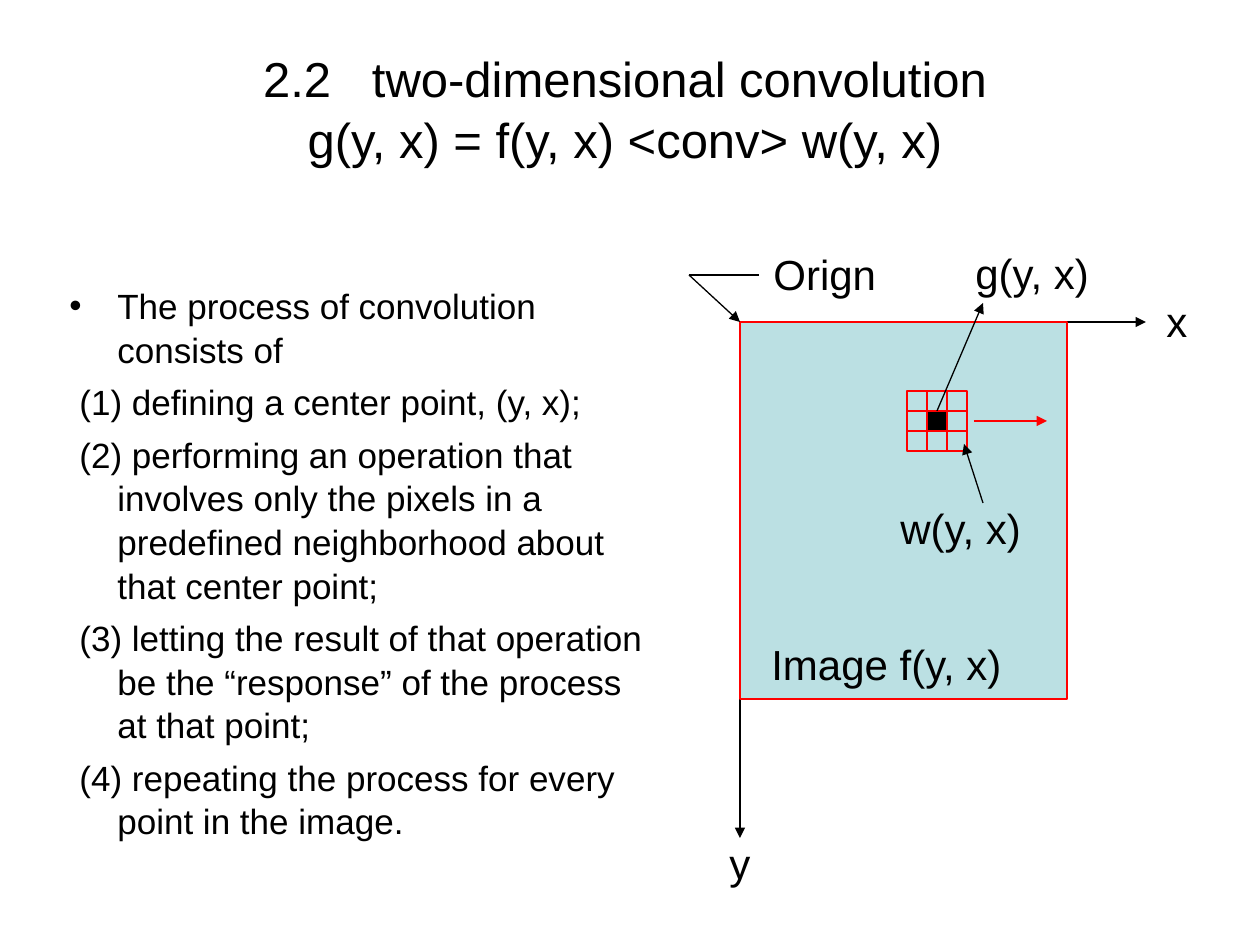
from lxml import etree
from pptx import Presentation
from pptx.dml.color import RGBColor
from pptx.enum.shapes import MSO_CONNECTOR, MSO_SHAPE
from pptx.enum.text import MSO_ANCHOR, PP_ALIGN
from pptx.oxml.ns import qn
from pptx.util import Emu, Pt

STRAIGHT = MSO_CONNECTOR.STRAIGHT
RECT = MSO_SHAPE.RECTANGLE
LEFT, CENTER = PP_ALIGN.LEFT, PP_ALIGN.CENTER
TOP, MIDDLE = MSO_ANCHOR.TOP, MSO_ANCHOR.MIDDLE
SCALE = 914400 / 126
COLORS = {"ink": "000000", "edge": "FF0000", "image": "BBE0E3"}


def emu(px):
    return Emu(round(px * SCALE))


def color(name):
    return RGBColor.from_string(COLORS[name])


class Board:
    font = "Arial"
    leading = 1.04

    def __init__(self, slide):
        self.slide = slide

    def text(self, box, lines, size, align=LEFT, anchor=TOP):
        shape = self.slide.shapes.add_textbox(*map(emu, box))
        frame = shape.text_frame
        frame.word_wrap = True
        frame.vertical_anchor = anchor
        frame.text = "\n".join(lines)
        for para in frame.paragraphs:
            para.alignment = align
            para.line_spacing = self.leading
            for run in para.runs:
                run.font.name = self.font
                run.font.size = Pt(size)
                run.font.color.rgb = color("ink")
        return frame

    def steps(self, box, lines, size):
        """A bulleted lead line followed by steps with a hanging indent."""
        frame = self.text(box, lines, size)
        for i, para in enumerate(frame.paragraphs):
            props = para._p.get_or_add_pPr()
            props.set("marL", str(emu(48)))
            props.set("indent", str(emu(-38 if i else -48)))
            if i:
                para.space_before = Pt(5)
                etree.SubElement(props, qn("a:buNone"))
            else:
                etree.SubElement(props, qn("a:buFont"), typeface=self.font)
                etree.SubElement(props, qn("a:buChar"), char="•")

    def rect(self, box, fill):
        shape = self.slide.shapes.add_shape(RECT, *map(emu, box))
        shape.shadow.inherit = False
        shape.fill.solid()
        shape.fill.fore_color.rgb = color(fill)
        shape.line.color.rgb = color("edge")
        shape.line.width = Pt(0.75)
        return shape

    def line(self, start, end, ink="ink", width=0.75, arrow=True):
        link = self.slide.shapes.add_connector(
            STRAIGHT, *map(emu, (*start, *end)))
        link.line.color.rgb = color(ink)
        link.line.width = Pt(width)
        if arrow:
            etree.SubElement(link.line._get_or_add_ln(), qn("a:tailEnd"),
                             type="triangle")
        etree.SubElement(link._element.spPr, qn("a:effectLst"))
        return link


def main():
    deck = Presentation()
    deck.slide_width, deck.slide_height = emu(1260), emu(945)
    board = Board(deck.slides.add_slide(deck.slide_layouts[6]))

    board.text((58, 30, 1134, 154),
               ["2.2   two-dimensional convolution",
                "g(y, x) = f(y, x) <conv> w(y, x)"], 28, CENTER, MIDDLE)
    board.steps((57, 277, 615, 594), [
        "The process of convolution consists of",
        "(1) defining a center point, (y, x);",
        "(2) performing an operation that involves only the pixels in a "
        "predefined neighborhood about that center point;",
        "(3) letting the result of that operation be the “response” of the "
        "process at that point;",
        "(4) repeating the process for every point in the image.",
    ], 20)

    # Axes and image
    left, top = 740, 322
    board.line((left, top), (1146, top))
    board.line((left, top), (left, 838))
    board.rect((left, top, 327, 377), "image")

    # Window of three by three cells
    cell = 20
    for row in range(3):
        for col in range(3):
            mid = row == col == 1
            box = (907 + col * cell, 391 + row * cell, cell, cell)
            shape = board.rect(box, "ink" if mid else "image")
            if mid:
                core = shape

    for word, x, y, width in [
        ("x", 1154, 287, 69),
        ("y", 717, 829, 69),
        ("w(y, x)", 888, 494, 169),
        ("Image f(y, x)", 759, 630, 338),
        ("Orign", 761, 240, 159),
        ("g(y, x)", 963, 239, 169),
    ]:
        board.text((x, y, width, 63), [word], 24)

    # Pointers
    board.line((983, 503), (964, 444))
    board.line((689, 275), (left, top))
    board.line((689, 275), (759, 275), arrow=False)
    board.line((937, 411), (983, 303)).begin_connect(core, 0)
    board.line((974, 421), (1047, 421), "edge", 1.5)

    deck.save("out.pptx")


if __name__ == "__main__":
    main()
